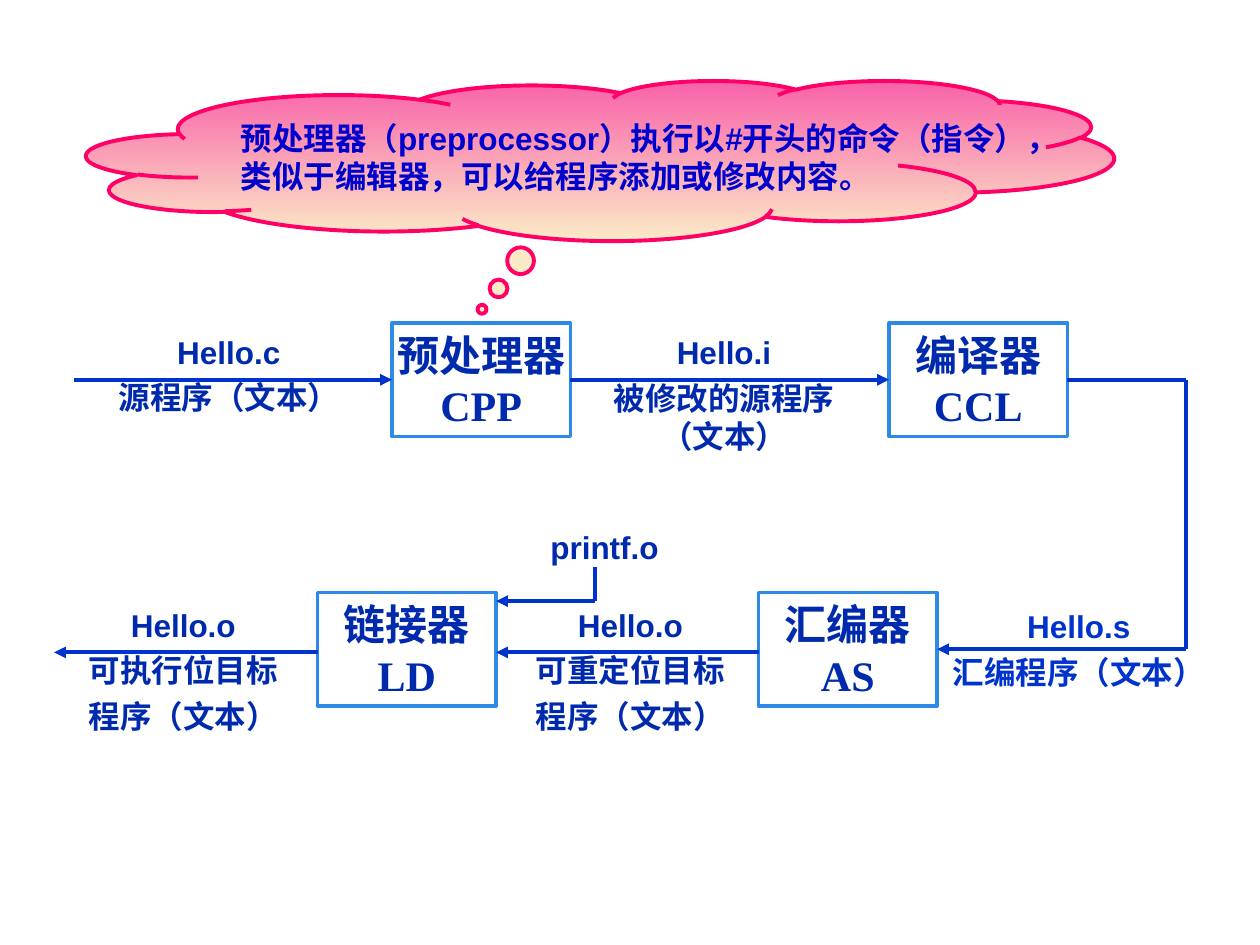
from lxml import etree
from pptx import Presentation
from pptx import util as u
from pptx.dml import color
from pptx.enum import shapes, text
from pptx.oxml import ns

NAVY, BLUE, SKY = "002AAE", "0033CC", "2D8AE7"
STAGE_W, STAGE_H = 102, 65
LEFT_SIDE, RIGHT_SIDE = 1, 3


def rgb(hex_code):
    return color.RGBColor.from_string(hex_code)


def write(frame, lines, size=18, font="Arial", ink=NAVY,
          align=text.PP_ALIGN.CENTER, gap=0):
    """Put each line in its own paragraph, with gap points between them."""
    for index, line in enumerate(lines):
        paragraph = frame.paragraphs[0] if index == 0 else frame.add_paragraph()
        paragraph.alignment = align
        if index and gap:
            paragraph.space_before = u.Pt(gap)
        run = paragraph.add_run()
        run.text = line
        run.font.size = u.Pt(size)
        run.font.name = font
        run.font.bold = True
        run.font.color.rgb = rgb(ink)


def add_box(slide, kind, box, outline, weight):
    shape = slide.shapes.add_shape(kind, *map(u.Pt, box))
    shape.shadow.inherit = False
    shape.line.color.rgb = rgb(outline)
    shape.line.width = u.Pt(weight)
    shape.text_frame.word_wrap = False
    shape.text_frame.vertical_anchor = text.MSO_ANCHOR.MIDDLE
    return shape


def add_stage(slide, left, top, lines):
    stage = add_box(slide, shapes.MSO_SHAPE.RECTANGLE,
                    (left, top, STAGE_W, STAGE_H), SKY, 2)
    stage.fill.solid()
    stage.fill.fore_color.rgb = rgb("FFFFFF")
    write(stage.text_frame, lines, size=24, font="Times New Roman")
    return stage


def add_flow(slide, start, end, arrow=True, source=None, target=None):
    """Draw a line; source and target are (stage, side) pairs to join."""
    flow = slide.shapes.add_connector(shapes.MSO_CONNECTOR.STRAIGHT,
                                      *map(u.Pt, (*start, *end)))
    flow.line.color.rgb = rgb(BLUE)
    flow.line.width = u.Pt(2.25)
    if arrow:
        etree.SubElement(flow.line._get_or_add_ln(), ns.qn("a:tailEnd"),
                         type="triangle")
    etree.SubElement(flow._element.spPr, ns.qn("a:effectLst"))
    if source:
        flow.begin_connect(*source)
    if target:
        flow.end_connect(*target)


def add_label(slide, box, lines, ink=NAVY):
    frame = slide.shapes.add_textbox(*map(u.Pt, box)).text_frame
    frame.word_wrap = True
    frame.auto_size = text.MSO_AUTO_SIZE.SHAPE_TO_FIT_TEXT
    write(frame, lines, ink=ink, gap=4.5)


def compile_row(slide, left, top):
    """Draw source file, preprocessor and compiler; return the compiler."""
    middle = top + STAGE_H / 2
    preprocessor = add_stage(slide, left + 181.5, top, ["预处理器", "CPP"])
    compiler = add_stage(slide, left + 465.5, top, ["编译器", "CCL"])
    add_flow(slide, (left, middle), (left + 181.5, middle),
             target=(preprocessor, LEFT_SIDE))
    add_flow(slide, (left + 283.5, middle), (left + 465.5, middle),
             source=(preprocessor, RIGHT_SIDE), target=(compiler, LEFT_SIDE))
    add_label(slide, (left + 14.5, top + 2, 147.5, 56),
              ["Hello.c", "源程序（文本）"])
    add_label(slide, (left + 297.5, top + 2.5, 147.5, 78),
              ["Hello.i", "被修改的源程序（文本）"])
    return compiler


def link_row(slide, left, top):
    """Draw assembler, linker and executable; return the assembler."""
    flow_y = top + 34.3
    linker_left, assembler_left = left + 150.5, left + 402.5
    linker_right = linker_left + STAGE_W
    assembler = add_stage(slide, assembler_left, top, ["汇编器", "AS"])
    add_stage(slide, linker_left, top, ["链接器", "LD"])
    for start, end, label_left, kind in (
            (assembler_left, linker_right, left + 255.5, "可重定位目标"),
            (linker_left, left, left, "可执行位目标")):
        add_flow(slide, (start, flow_y), (end, flow_y))
        add_label(slide, (label_left, top + 4, 147.5, 83),
                  ["Hello.o", kind, "程序（文本）"])
    library_x, library_y = left + 309, top + 5
    add_flow(slide, (library_x, top - 14.5), (library_x, library_y), arrow=False)
    add_flow(slide, (library_x, library_y), (linker_right, library_y))
    add_label(slide, (left + 263.5, top - 40.5, 102, 29), ["printf.o"])
    return assembler


def assembly_path(slide, compiler, assembler, turn_x):
    """Lead from the compiler round the right edge back to the assembler."""
    upper, lower = [(stage.top + stage.height / 2) / u.Pt(1)
                    for stage in (compiler, assembler)]
    compiler_right, assembler_right = [(stage.left + stage.width) / u.Pt(1)
                                       for stage in (compiler, assembler)]
    add_flow(slide, (compiler_right, upper), (turn_x, upper), arrow=False,
             source=(compiler, RIGHT_SIDE))
    add_flow(slide, (turn_x, upper), (turn_x, lower), arrow=False)
    add_flow(slide, (turn_x, lower), (assembler_right, lower),
             target=(assembler, RIGHT_SIDE))
    add_label(slide, (assembler_right - 2.5, lower - 27.5, 167, 56),
              ["Hello.s", "汇编程序（文本）"], ink=BLUE)


def preprocessor_note(slide, box):
    cloud = add_box(slide, shapes.MSO_SHAPE.CLOUD_CALLOUT, box, "FF0066", 2.25)
    cloud.adjustments[0] = -0.115
    cloud.adjustments[1] = 0.929
    cloud.fill.gradient()
    cloud.fill.gradient_angle = 270
    for stop, shade in zip(cloud.fill.gradient_stops, ("F961A9", "FBEAC7")):
        stop.color.rgb = rgb(shade)
    write(cloud.text_frame,
          ["预处理器（preprocessor）执行以#开头的命令（指令），",
           "类似于编辑器，可以给程序添加或修改内容。"],
          ink="0000CC", align=text.PP_ALIGN.LEFT)


def main():
    deck = Presentation()
    deck.slide_width, deck.slide_height = u.Pt(720), u.Pt(540)
    slide = deck.slides.add_slide(deck.slide_layouts[6])
    compiler = compile_row(slide, 42.5, 184.5)
    assembler = link_row(slide, 31, 338.5)
    assembly_path(slide, compiler, assembler, 677.5)
    preprocessor_note(slide, (49.5, 46, 587, 91.5))
    deck.save("out.pptx")


if __name__ == "__main__":
    main()
